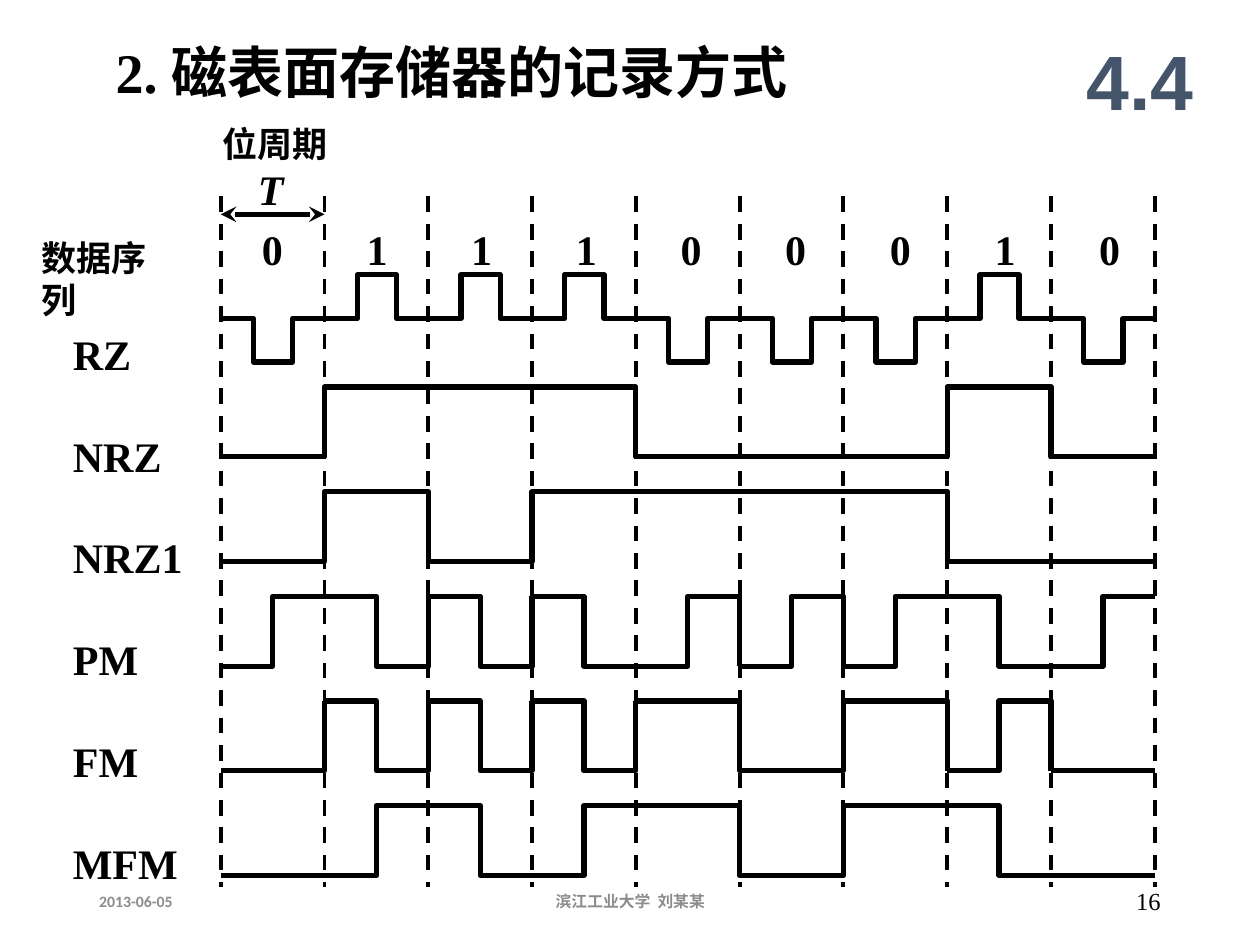
from lxml import etree
from pptx import Presentation
from pptx.dml.color import RGBColor
from pptx.enum.dml import MSO_LINE
from pptx.enum.shapes import MSO_CONNECTOR
from pptx.enum.text import MSO_ANCHOR, PP_ALIGN
from pptx.oxml.ns import qn
from pptx.util import Cm, Pt

TOP, MIDDLE = MSO_ANCHOR.TOP, MSO_ANCHOR.MIDDLE
LEFT, CENTER, RIGHT = PP_ALIGN.LEFT, PP_ALIGN.CENTER, PP_ALIGN.RIGHT
STRAIGHT = MSO_CONNECTOR.STRAIGHT
DASH = MSO_LINE.DASH
SERIF, SANS, FOOTER = "Times New Roman", "Arial", "Calibri"
BLACK, SLATE, GRAY = "000000", "44546A", "8C8C8C"

BITS = "011100010"
WAVES = [
    ("NRZ", "LLHHHHHHLLLLLLHHLL"),
    ("NRZ1", "LLHHLLHHHHHHHHLLLL"),
    ("PM", "LH|HL|HL|HL|LH|LH|LH|HL|LH"),
    ("FM", "LL|HL|HL|HL|HHLLHH|LH|LL"),
    ("MFM", "LL|LH|HL|LH|HHL|LH|HHLLL"),
]
CAPTIONS = [
    ("数据序列", 0.58, 4.65, 3.3, 1.09, 20, False),
    ("位周期", 4.24, 2.34, 2.64, 1.09, 20, False),
    ("T", 4.95, 3.18, 1.02, 1.27, 24, True),
]
FOOTERS = [
    ("2013-06-05", 1.75, 5.72, LEFT, 9, FOOTER, GRAY, True),
    ("滨江工业大学  刘某某", 8.41, 8.59, CENTER, 9, FOOTER, GRAY, True),
    ("16", 17.93, 5.72, RIGHT, 14, SERIF, BLACK, False),
]

GRID_LEFT, GRID_RIGHT = 4.45, 23.28
GRID_TOP, GRID_BOTTOM = 3.96, 17.88
PERIOD = (GRID_RIGHT - GRID_LEFT) / len(BITS)
HALF = PERIOD / 2
RZ_ZERO, RZ_SWING = 6.42, 0.88
PULSE_START, PULSE_END = 0.66, 1.45
WAVE_TOP, WAVE_PITCH, WAVE_HEIGHT = 7.8, 2.11, 1.41
LABEL_LEFT, LABEL_TOP, LABEL_PITCH = 1.22, 6.5, 2.05

deck = Presentation()
deck.slide_width, deck.slide_height = Cm(25.4), Cm(19.05)
page = deck.slides.add_slide(deck.slide_layouts[6])


def color(value):
    return RGBColor.from_string(value)


def add_text(text, left, top, width, height, size, font=SERIF, fill=BLACK,
             bold=True, italic=False, align=LEFT, anchor=TOP):
    box = page.shapes.add_textbox(Cm(left), Cm(top), Cm(width), Cm(height))
    frame = box.text_frame
    frame.word_wrap = True
    frame.vertical_anchor = anchor
    frame.text = text
    para = frame.paragraphs[0]
    para.alignment = align
    span = para.runs[0].font
    span.size, span.name, span.bold, span.italic = Pt(size), font, bold, italic
    span.color.rgb = color(fill)


def add_line(x1, y1, x2, y2, width):
    line = page.shapes.add_connector(STRAIGHT, Cm(x1), Cm(y1), Cm(x2), Cm(y2))
    line.line.color.rgb = color(BLACK)
    line.line.width = Pt(width)
    etree.SubElement(line._element.spPr, qn("a:effectLst"))
    return line


def add_trace(points):
    points = [(Cm(x), Cm(y)) for x, y in points]
    builder = page.shapes.build_freeform(*points[0], scale=1.0)
    builder.add_line_segments(points[1:], close=False)
    trace = builder.convert_to_shape()
    trace.shadow.inherit = False
    trace.fill.background()
    trace.line.color.rgb = color(BLACK)
    trace.line.width = Pt(3)


def add_wave(pattern, high):
    heights = {"H": high, "L": high + WAVE_HEIGHT}
    pieces = pattern.split("|")
    x = GRID_LEFT
    for index, piece in enumerate(pieces):
        following = pieces[index + 1][0] if index + 1 < len(pieces) else piece[-1]
        points = [(x, heights[piece[0]])]
        for level, after in zip(piece, piece[1:] + following):
            x += HALF
            if level != after:
                points += [(x, heights[level]), (x, heights[after])]
        if points[-1][0] < x:
            points.append((x, heights[piece[-1]]))
        add_trace(points)


add_text("2. 磁表面存储器的记录方式", 2.08, 0.64, 14.1, 1.6, 32)
add_text("4.4", 21.39, 0.43, 3.18, 2.34, 44, SANS, SLATE, align=CENTER, anchor=MIDDLE)

for index in range(len(BITS) + 1):
    x = GRID_LEFT + index * PERIOD
    add_line(x, GRID_TOP, x, GRID_BOTTOM, 2.25).line.dash_style = DASH

for index, bit in enumerate(BITS):
    x = GRID_LEFT + index * PERIOD
    peak = RZ_ZERO - RZ_SWING if bit == "1" else RZ_ZERO + RZ_SWING
    start, end = x + PULSE_START, x + PULSE_END
    add_trace([(x, RZ_ZERO), (start, RZ_ZERO), (start, peak),
               (end, peak), (end, RZ_ZERO), (x + PERIOD, RZ_ZERO)])
    add_text(bit, 5.03 + 2.11 * index, 4.39, 0.94, 1.27, 24)

for index, (name, pattern) in enumerate(WAVES):
    add_wave(pattern, WAVE_TOP + index * WAVE_PITCH)

for index, name in enumerate(["RZ"] + [name for name, pattern in WAVES]):
    add_text(name, LABEL_LEFT, LABEL_TOP + index * LABEL_PITCH, 2.75, 1.27, 24)

period_arrow = add_line(GRID_LEFT, 4.32, GRID_LEFT + PERIOD, 4.32, 3)
for end in ("a:headEnd", "a:tailEnd"):
    etree.SubElement(period_arrow.line._get_or_add_ln(), qn(end), type="stealth")

for text, left, top, width, height, size, italic in CAPTIONS:
    add_text(text, left, top, width, height, size, italic=italic)

for text, left, width, align, size, font, fill, bold in FOOTERS:
    add_text(text, left, 17.65, width, 1.02, size, font, fill, bold,
             align=align, anchor=MIDDLE)

deck.save("out.pptx")
